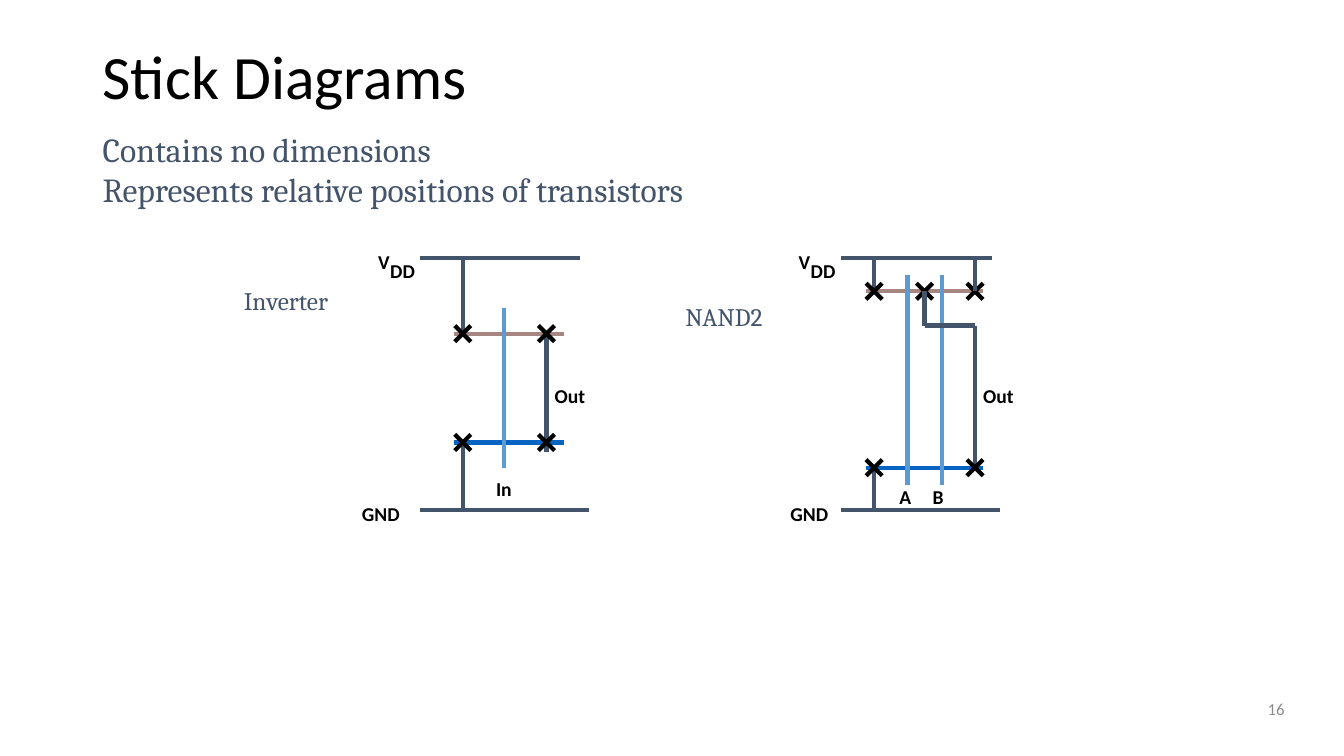
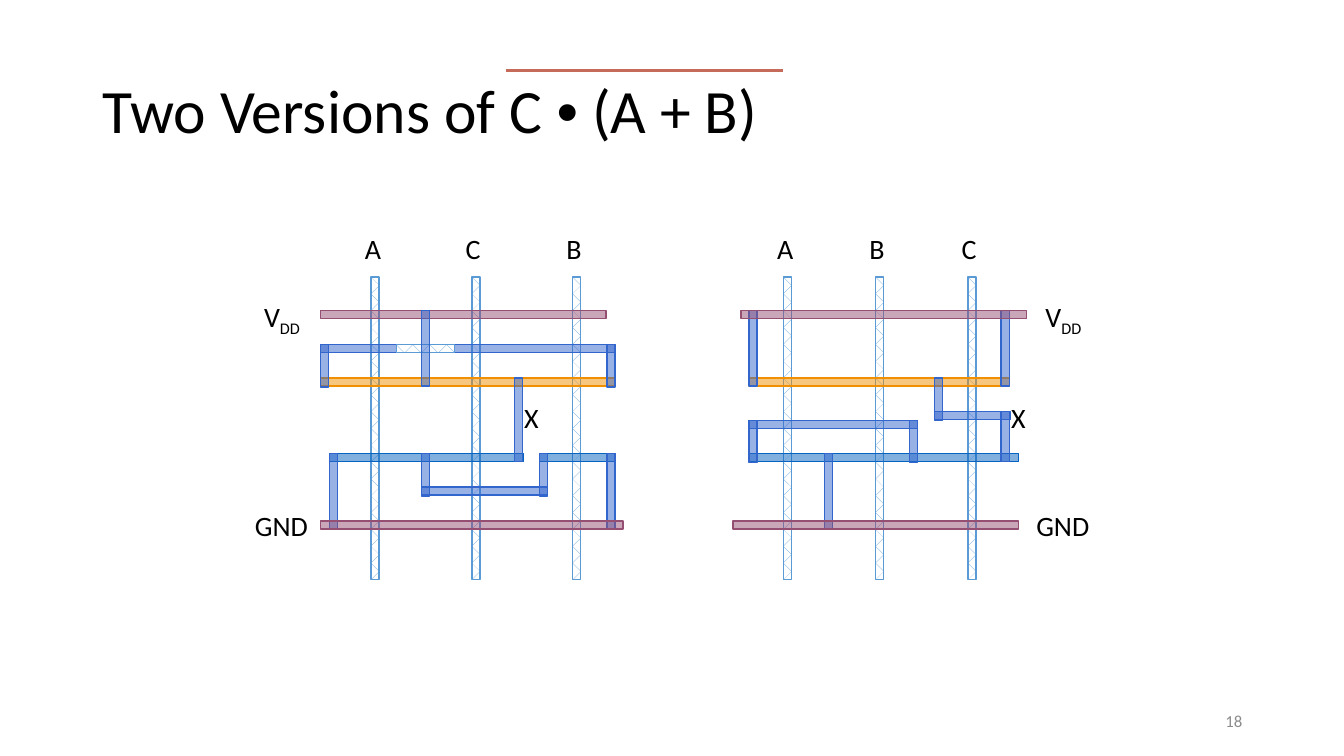
from dataclasses import dataclass

from lxml import etree
from pptx import Presentation
from pptx.dml.color import RGBColor
from pptx.enum.dml import MSO_PATTERN
from pptx.enum.shapes import MSO_CONNECTOR, MSO_SHAPE
from pptx.enum.text import MSO_ANCHOR, PP_ALIGN
from pptx.oxml.ns import qn
from pptx.util import Inches, Pt

STRAIGHT = MSO_CONNECTOR.STRAIGHT
RECTANGLE = MSO_SHAPE.RECTANGLE
DIAMONDS = MSO_PATTERN.DOTTED_DIAMOND
TOP, MIDDLE = MSO_ANCHOR.TOP, MSO_ANCHOR.MIDDLE
LEFT, RIGHT = PP_ALIGN.LEFT, PP_ALIGN.RIGHT


@dataclass(frozen=True)
class Theme:
    """Colours, fonts and sizes shared by the slides."""
    sans: str = "Calibri"
    serif: str = "Cambria"
    symbol: str = "Arial"
    black: str = "000000"
    white: str = "FFFFFF"
    slate: str = "44546A"
    grey: str = "8C8C8C"
    accent: str = "C66B5A"
    poly: str = "5B9BD5"
    n_diffusion: str = "0563C1"
    p_diffusion: str = "A68680"
    p_bar: str = "F08F00"
    metal_bar: str = "3366CC"
    rail_bar: str = "954F72"
    title: int = 44
    body: int = 24
    pin: int = 20
    caption: int = 18
    label: int = 14
    footer: int = 12
    wire: float = 3
    overline: float = 2.25
    outline: float = 1
    bar: float = 0.08
    contact: float = 0.16


THEME = Theme()


def add_text(page, paragraphs, left, top, width, height, *, size, font=THEME.sans,
             color=THEME.black, bold=False, align=LEFT, anchor=TOP, wrap=False,
             inset=True, spacing=None):
    """Add a text box; a span is a string or a (text, font, baseline) tuple."""
    box = page.shapes.add_textbox(Inches(left), Inches(top), Inches(width), Inches(height))
    frame = box.text_frame
    frame.word_wrap = wrap
    frame.vertical_anchor = anchor
    if not inset:
        frame.margin_left = frame.margin_right = frame.margin_top = frame.margin_bottom = 0
    for index, spans in enumerate(paragraphs):
        para = frame.add_paragraph() if index else frame.paragraphs[0]
        para.alignment = align
        para.line_spacing = spacing
        for item in spans:
            text, face, baseline = (item, font, None) if isinstance(item, str) else item
            span = para.add_run()
            span.text = text
            span.font.name = face
            span.font.size = Pt(size)
            span.font.bold = bold
            span.font.color.rgb = RGBColor.from_string(color)
            if baseline:
                span.font._element.set("baseline", str(baseline))


def add_page(deck, title, title_height, number, number_left, number_top):
    """Add a blank slide with its title and slide number."""
    page = deck.slides.add_slide(deck.slide_layouts[6])
    add_text(page, [title], 0.92, 0.4, 11.5, title_height, size=THEME.title,
             anchor=MIDDLE, wrap=True, spacing=0.9)
    add_text(page, [[number]], number_left, number_top, 3, 0.4, size=THEME.footer,
             color=THEME.grey, align=RIGHT, anchor=MIDDLE, wrap=True)
    return page


def add_wires(page, color, *wires, weight=THEME.wire):
    """Draw straight wires given as (x1, y1, x2, y2)."""
    for wire in wires:
        line = page.shapes.add_connector(STRAIGHT, *(Inches(value) for value in wire))
        line.line.color.rgb = RGBColor.from_string(color)
        line.line.width = Pt(weight)
        etree.SubElement(line._element.spPr, qn("a:effectLst"))


def add_contacts(page, *centres):
    """Draw a cross at each centre."""
    half = THEME.contact / 2
    for x, y in centres:
        add_wires(page, THEME.black, (x - half, y - half, x + half, y + half),
                  (x + half, y - half, x - half, y + half))


def add_labels(page, *labels):
    """Write small bold labels given as (text, left, top, width)."""
    for text, left, top, width in labels:
        add_text(page, [[text]], left, top, width, 0.24, size=THEME.label,
                 bold=True, inset=False)


def add_supply_labels(page, supply_left, ground_left):
    """Write the supply and ground labels of a stick diagram."""
    add_labels(page, ("V", supply_left, 2.48, 0.12), ("DD", supply_left + 0.12, 2.57, 0.25),
               ("GND", ground_left, 4.98, 0.38))


def add_caption(page, text, left, top, width):
    """Write the name of a stick diagram."""
    add_text(page, [[text]], left, top, width, 0.4, size=THEME.caption,
             font=THEME.serif, color=THEME.slate)


def add_bar(page, color, left, top, width, height, patterned=False):
    """Draw one layout strip, half transparent or patterned."""
    bar = page.shapes.add_shape(RECTANGLE, Inches(left), Inches(top),
                                Inches(width), Inches(height))
    bar.shadow.inherit = False
    ink = RGBColor.from_string(color)
    bar.line.color.rgb = ink
    bar.line.width = Pt(THEME.outline)
    if patterned:
        bar.fill.patterned()
        bar.fill.pattern = DIAMONDS
        bar.fill.fore_color.rgb = ink
        bar.fill.back_color.rgb = RGBColor.from_string(THEME.white)
    else:
        bar.fill.solid()
        bar.fill.fore_color.rgb = ink
        tint = bar._element.spPr.find(qn("a:solidFill"))[0]
        etree.SubElement(tint, qn("a:alpha")).set("val", "50000")


def add_rows(page, color, *rows, patterned=False):
    """Draw horizontal strips given as (left, top, width)."""
    for left, top, width in rows:
        add_bar(page, color, left, top, width, THEME.bar, patterned)


def add_columns(page, color, *columns, patterned=False):
    """Draw vertical strips given as (left, top, height)."""
    for left, top, height in columns:
        add_bar(page, color, left, top, THEME.bar, height, patterned)


def add_pin(page, spans, left, top, width=0.35):
    """Write a pin name beside a layout."""
    add_text(page, [spans], left, top, width, 0.44, size=THEME.pin)


def add_gates(page, names, first, step):
    """Draw evenly spaced polysilicon gates with their names."""
    for index, name in enumerate(names):
        left = first + index * step
        add_columns(page, THEME.poly, (left, 2.75, 3), patterned=True)
        add_pin(page, [name], left - 0.16, 2.25)


def add_supply_pins(page, left):
    """Write the supply and ground pins of a layout."""
    add_pin(page, ["V", ("DD", THEME.sans, -25000)], left, 2.92, 0.59)
    add_pin(page, ["GND"], left - 0.09, 5, 0.73)


def draw_inverter(page):
    """Draw the inverter stick diagram."""
    left, gate, right = 4.59, 5, 5.42
    vdd, upper, lower, ground = 2.56, 3.31, 4.39, 5.06
    add_wires(page, THEME.p_diffusion, (4.5, upper, 5.59, upper))
    add_wires(page, THEME.n_diffusion, (4.5, lower, 5.59, lower))
    add_wires(page, THEME.poly, (gate, 3.06, gate, 4.64))
    add_wires(page, THEME.slate, (4.17, vdd, 5.75, vdd), (4.17, ground, 5.84, ground),
              (left, vdd, left, upper), (left, lower, left, ground),
              (right, upper, right, 4.48))
    add_contacts(page, *((x, y) for x in (left, right) for y in (upper, lower)))
    add_labels(page, ("In", 4.92, 4.73, 0.16), ("Out", 5.5, 3.81, 0.31))
    add_supply_labels(page, 3.75, 3.59)
    add_caption(page, "Inverter", 2.32, 2.78, 1.09)


def draw_nand(page):
    """Draw the two-input NAND stick diagram."""
    left, middle, right = 8.67, 9.17, 9.67
    vdd, upper, bend, lower, ground = 2.56, 2.89, 3.23, 4.64, 5.06
    add_wires(page, THEME.n_diffusion, (8.59, lower, 9.75, lower))
    add_wires(page, THEME.p_diffusion, (8.59, upper, 9.75, upper))
    add_wires(page, THEME.poly, *((x, 2.73, x, 4.81) for x in (9, 9.34)))
    add_wires(page, THEME.slate, (8.34, vdd, 9.84, vdd), (8.34, ground, 9.92, ground),
              (left, vdd, left, upper), (left, lower, left, ground),
              (right, bend, right, lower))
    add_contacts(page, (left, lower), (right, lower),
                 *((x, upper) for x in (left, middle, right)))
    add_wires(page, THEME.slate, (middle, bend, right, bend),
              (middle, upper, middle, bend), (right, vdd, right, upper))
    add_labels(page, ("A", 8.92, 4.81, 0.17), ("B", 9.25, 4.81, 0.17),
               ("Out", 9.75, 3.81, 0.31))
    add_supply_labels(page, 7.92, 7.84)
    add_caption(page, "NAND2", 6.7, 2.94, 1.13)


def draw_left_layout(page):
    """Draw the layout with gate order A, C, B."""
    add_gates(page, "ACB", 3.68, 1)
    add_rows(page, THEME.n_diffusion, (3.27, 4.5, 1.92), (5.35, 4.5, 0.75))
    add_rows(page, THEME.p_bar, (3.18, 3.75, 2.92))
    add_columns(page, THEME.metal_bar, (3.27, 4.5, 0.75), (6.02, 4.5, 0.75),
                (5.1, 3.75, 0.83), (5.35, 4.5, 0.42), (4.18, 4.5, 0.42),
                (3.18, 3.42, 0.42), (6.02, 3.42, 0.42))
    add_rows(page, THEME.metal_bar, (4.18, 4.83, 1.25), (4.43, 3.42, 1.67),
             (3.18, 3.42, 0.83))
    add_rows(page, THEME.poly, (3.93, 3.42, 0.58), patterned=True)
    add_rows(page, THEME.rail_bar, (3.18, 5.17, 3), (3.18, 3.08, 2.83))
    add_columns(page, THEME.metal_bar, (4.18, 3.08, 0.75))
    add_pin(page, ["X"], 5.1, 3.92)
    add_supply_pins(page, 2.52)


def draw_right_layout(page):
    """Draw the layout with gate order A, B, C."""
    add_gates(page, "ABC", 7.77, 0.915)
    add_rows(page, THEME.n_diffusion, (7.43, 4.5, 2.67))
    add_rows(page, THEME.p_bar, (7.43, 3.75, 2.58))
    add_columns(page, THEME.metal_bar, (8.18, 4.5, 0.75), (7.43, 4.17, 0.42),
                (9.02, 4.17, 0.42), (9.93, 4.08, 0.5), (9.27, 3.75, 0.42),
                (7.43, 3.08, 0.75), (9.93, 3.08, 0.75))
    add_rows(page, THEME.metal_bar, (7.43, 4.17, 1.67), (9.27, 4.08, 0.75))
    add_rows(page, THEME.rail_bar, (7.27, 5.17, 2.83), (7.35, 3.08, 2.83))
    add_pin(page, ["X"], 9.93, 3.92)
    add_supply_pins(page, 10.27)


def build_stick_diagrams(deck):
    """Build the stick diagram slide."""
    page = add_page(deck, ["Stick Diagrams"], 0.77, "16", 9.84, 6.83)
    add_text(page, [["Contains no dimensions"], ["Represents relative positions of transistors"]],
             0.92, 1.23, 6.51, 0.91, size=THEME.body, font=THEME.serif, color=THEME.slate)
    draw_inverter(page)
    draw_nand(page)


def build_two_versions(deck):
    """Build the slide with two layouts of one function."""
    title = ["Two Versions of C ", ("•", THEME.symbol, None), " (A + B)"]
    page = add_page(deck, title, 1.45, "18", 9.42, 6.95)
    draw_left_layout(page)
    draw_right_layout(page)
    add_wires(page, THEME.accent, (5.02, 0.7, 7.77, 0.7), weight=THEME.overline)


def main():
    """Build and save the deck."""
    deck = Presentation()
    deck.slide_width, deck.slide_height = Inches(13.33), Inches(7.5)
    build_stick_diagrams(deck)
    build_two_versions(deck)
    deck.save("out.pptx")


if __name__ == "__main__":
    main()
